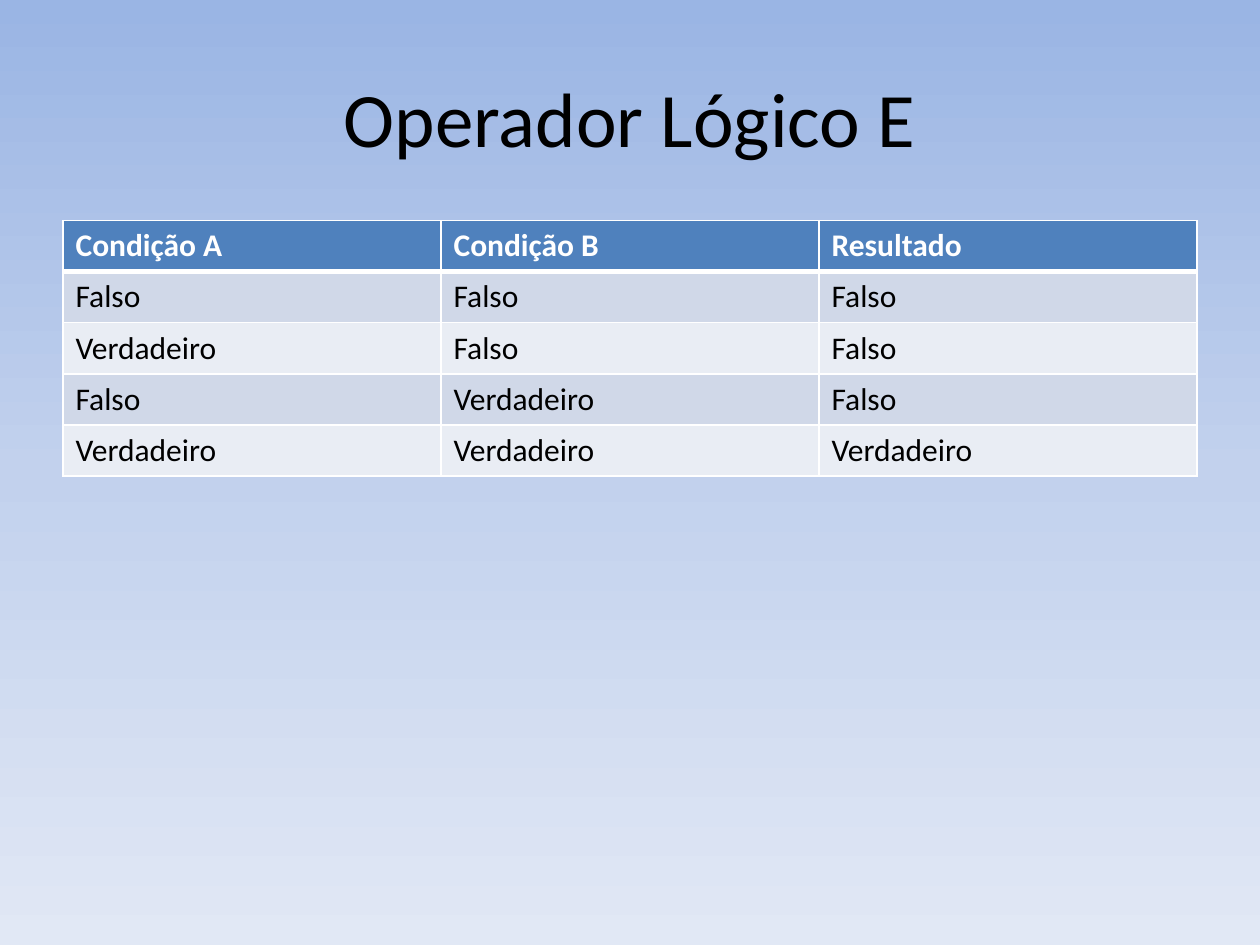
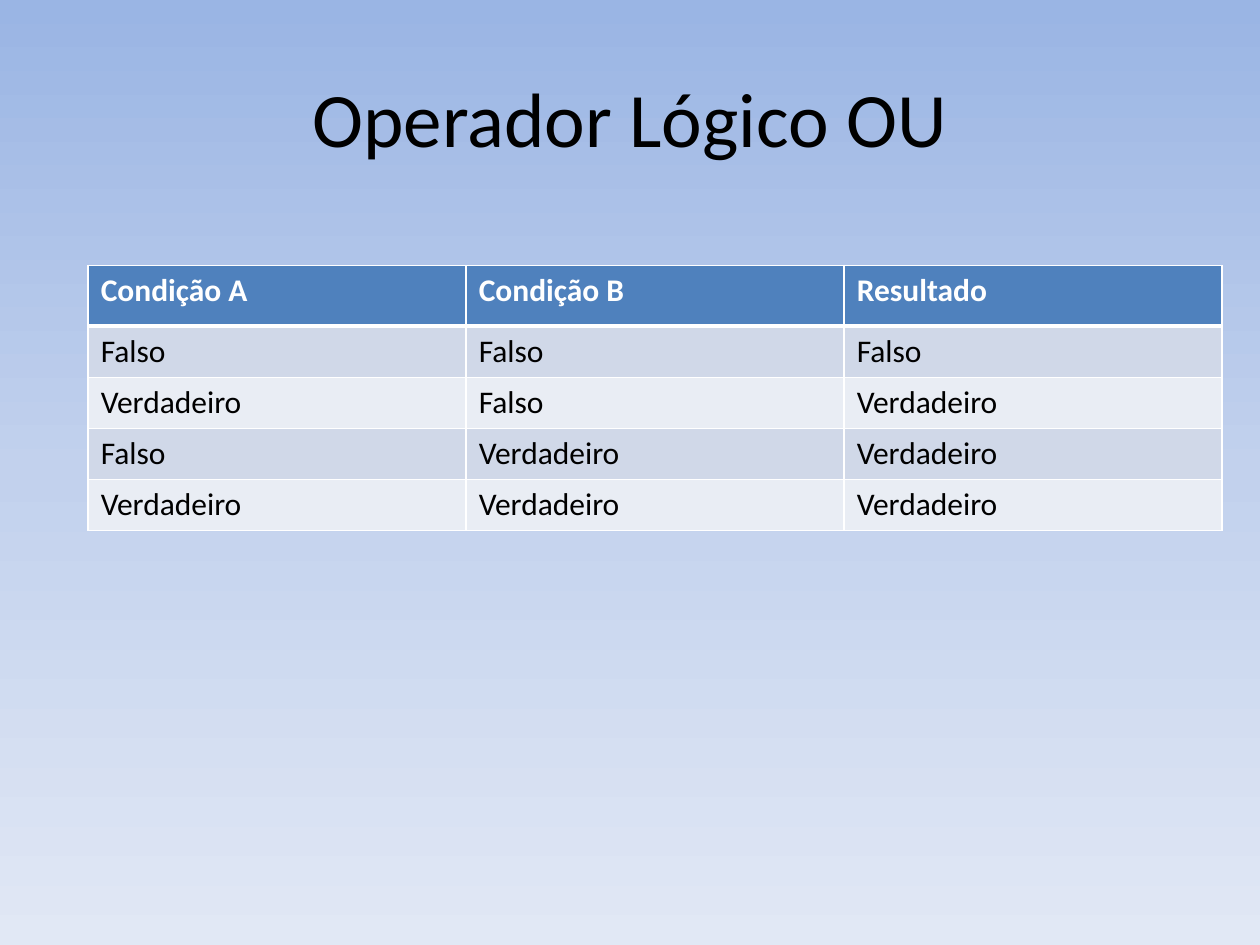
from dataclasses import dataclass
from itertools import product
from typing import Callable

from lxml import etree
from pptx import Presentation
from pptx.dml.color import RGBColor
from pptx.enum.text import MSO_ANCHOR, PP_ALIGN
from pptx.oxml.ns import qn
from pptx.util import Pt

MIDDLE = MSO_ANCHOR.MIDDLE
CENTER = PP_ALIGN.CENTER

FONT = "Calibri"
COLORS = {
    "text": "000000",
    "header_text": "FFFFFF",
    "header": "4F81BD",
    "band_dark": "D0D8E8",
    "band_light": "E9EDF4",
    "border": "FFFFFF",
}
BACKGROUND = [(0, "9AB5E4"), (50, "C2D1ED"), (100, "E1E8F5")]

HEADINGS = ["Condição A", "Condição B", "Resultado"]
WORDS = {False: "Falso", True: "Verdadeiro"}
COL_WIDTH = 216
ROW_HEIGHT = 29.2
THIN, THICK = 1, 3


@dataclass
class TruthTable:
    """One slide: a logical operator and where its table stands, in points."""
    title: str
    operator: Callable[[bool, bool], bool]
    left: float
    top: float
    header_height: float

    def rows(self) -> list[list[str]]:
        """Return the headings and the four cases, A changing fastest."""
        cases = [(a, b, self.operator(a, b))
                 for b, a in product([False, True], repeat=2)]
        return [HEADINGS] + [[WORDS[v] for v in case] for case in cases]


TABLES = [
    TruthTable("Operador Lógico E", lambda a, b: a and b, 36, 126, ROW_HEIGHT),
    TruthTable("Operador Lógico OU", lambda a, b: a or b, 50.4, 151.8, 34.6),
]


def format_run(r, size: float, color: str, bold: bool = False) -> None:
    """Set the font of a run."""
    r.font.name = FONT
    r.font.size = Pt(size)
    r.font.bold = bold
    r.font.color.rgb = RGBColor.from_string(COLORS[color])


def set_background(s) -> None:
    """Fill the slide with the shared top-to-bottom gradient."""
    fill = s.background.fill
    fill.gradient()
    fill.gradient_angle = 270
    stops = s.element.find(".//" + qn("a:gsLst"))
    for old in list(stops):
        stops.remove(old)
    for percent, color in BACKGROUND:
        gs = etree.SubElement(stops, qn("a:gs"), pos=str(percent * 1000))
        etree.SubElement(gs, qn("a:srgbClr"), val=color)


def add_title(s, text: str) -> None:
    """Add the centred slide title."""
    sp = s.shapes.add_textbox(Pt(36), Pt(21.6), Pt(648), Pt(90))
    tf = sp.text_frame
    tf.word_wrap = True
    tf.vertical_anchor = MIDDLE
    tf.text = text
    p = tf.paragraphs[0]
    p.alignment = CENTER
    format_run(p.runs[0], 44, "text")


def set_borders(cell, top: float, bottom: float) -> None:
    """Draw the four cell borders; the side ones are thin."""
    tc_pr = cell._tc.get_or_add_tcPr()
    widths = {"a:lnL": THIN, "a:lnR": THIN, "a:lnT": top, "a:lnB": bottom}
    for tag, width in widths.items():
        ln = etree.SubElement(tc_pr, qn(tag), w=str(Pt(width)))
        fill = etree.SubElement(ln, qn("a:solidFill"))
        etree.SubElement(fill, qn("a:srgbClr"), val=COLORS["border"])


def add_truth_table(s, spec_table: TruthTable) -> None:
    """Add the table with its header row and banded cases."""
    rows = spec_table.rows()
    heights = [spec_table.header_height] + [ROW_HEIGHT] * (len(rows) - 1)
    table = s.shapes.add_table(
        len(rows), len(HEADINGS), Pt(spec_table.left), Pt(spec_table.top),
        Pt(COL_WIDTH * len(HEADINGS)), Pt(sum(heights))).table
    for col in table.columns:
        col.width = Pt(COL_WIDTH)
    for i, (texts, height) in enumerate(zip(rows, heights)):
        table.rows[i].height = Pt(height)
        header = i == 0
        band = "header" if header else "band_dark" if i % 2 else "band_light"
        for j, text in enumerate(texts):
            cell = table.cell(i, j)
            set_borders(cell, THICK if i == 1 else THIN,
                        THICK if header else THIN)
            cell.fill.solid()
            cell.fill.fore_color.rgb = RGBColor.from_string(COLORS[band])
            cell.text_frame.text = text
            format_run(cell.text_frame.paragraphs[0].runs[0], 18,
                       "header_text" if header else "text", header)


prs = Presentation()
prs.slide_width, prs.slide_height = Pt(720), Pt(540)
for truth_table in TABLES:
    s = prs.slides.add_slide(prs.slide_layouts[6])
    set_background(s)
    add_title(s, truth_table.title)
    add_truth_table(s, truth_table)
prs.save("out.pptx")
